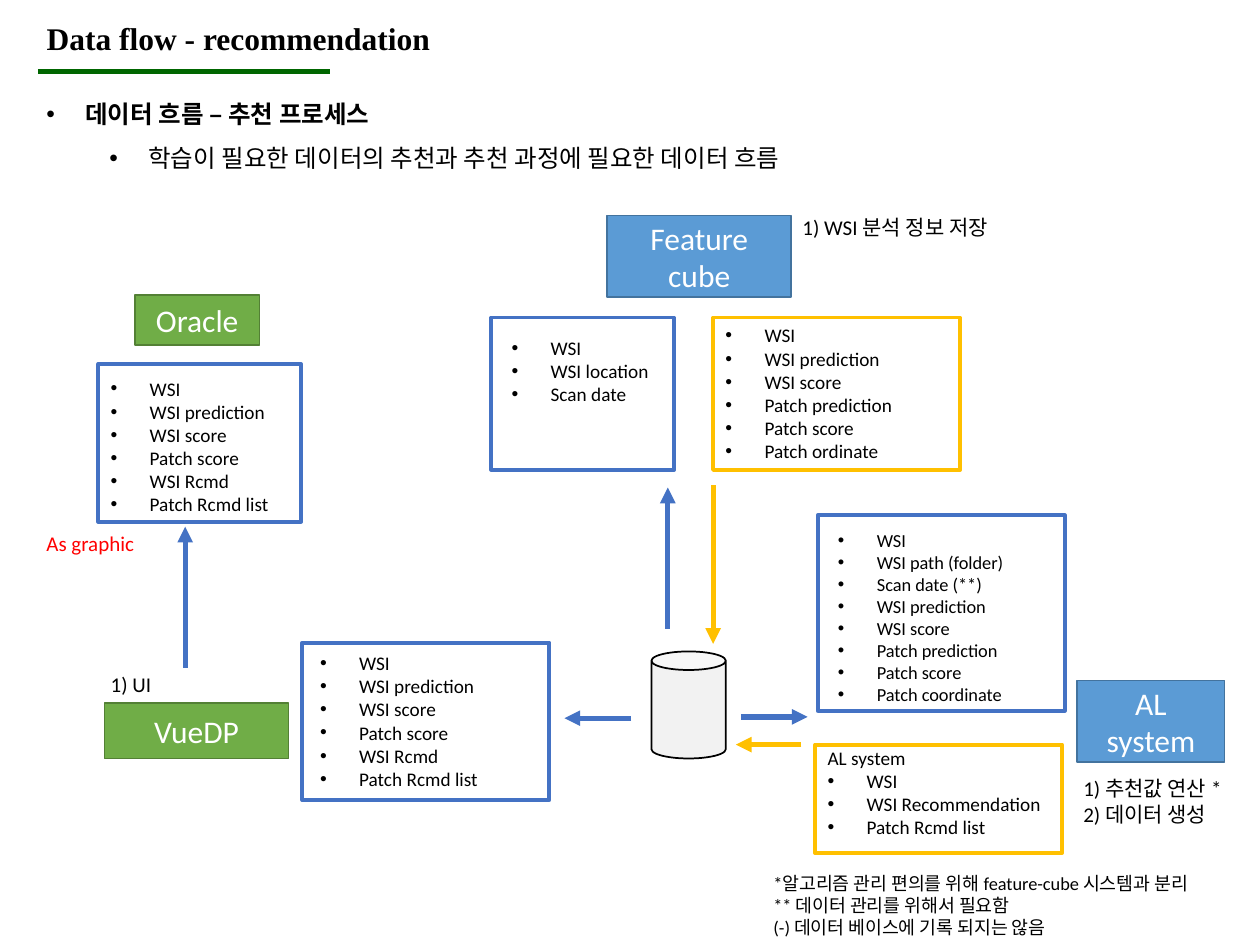
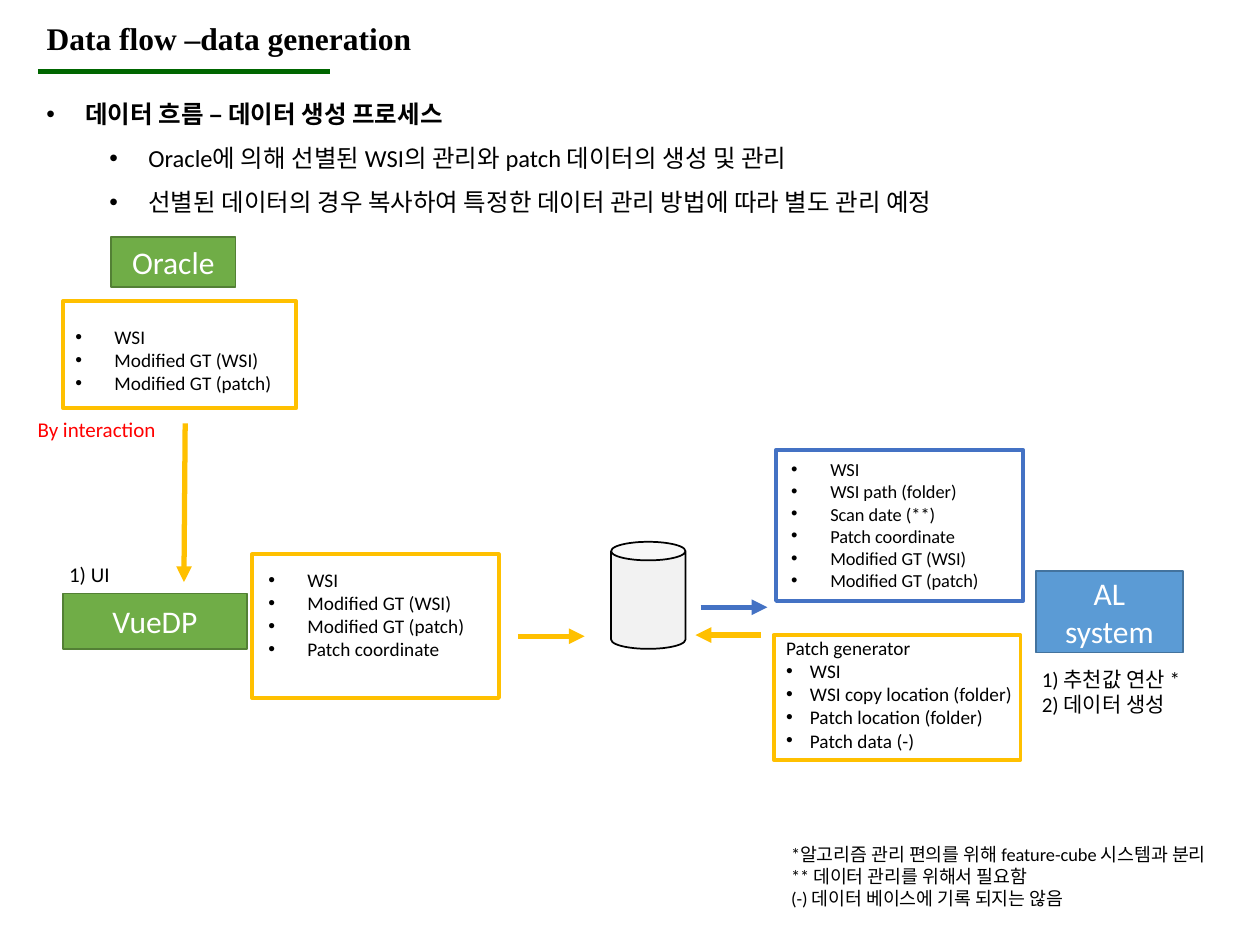
import pptx
import pptx.util
import pptx.dml.color
import pptx.enum.shapes
import pptx.enum.text
import pptx.oxml.ns
import lxml.etree

COLS, ROWS = 100, 75
INK, WHITE, RED, PINE = "000000", "FFFFFF", "FF0000", "006600"
BLUE, GOLD, GREY = "4472C4", "FFC000", "F2F2F2"
SKY, LEAF = ("5B9BD5", "43739E"), ("70AD47", "538035")
FONT, SERIF = "Calibri", "Times New Roman"
HANG = 3.1
NOTES = ["*알고리즘 관리 편의를 위해 feature-cube 시스템과 분리",
         "** 데이터 관리를 위해서 필요함",
         "(-) 데이터 베이스에 기록 되지는 않음"]
SCORES = ["WSI", "WSI prediction", "WSI score"]
RCMD = SCORES + ["Patch score", "WSI Rcmd", "Patch Rcmd list"]
PATCH = SCORES + ["Patch prediction", "Patch score"]
SCAN = ["WSI", "WSI path (folder)", "Scan date (**)"]
EDITS = ["Modified GT (WSI)", "Modified GT (patch)"]

KIND = pptx.enum.shapes.MSO_SHAPE
ALIGN = pptx.enum.text.PP_ALIGN
ANCHOR = pptx.enum.text.MSO_ANCHOR

deck = pptx.Presentation()
deck.slide_width = pptx.util.Inches(10)
deck.slide_height = pptx.util.Inches(7.5)


def across(cols):
    return round(deck.slide_width * cols / COLS)


def down(rows):
    return round(deck.slide_height * rows / ROWS)


def place(box):
    x, y, w, h = box
    return across(x), down(y), across(w), down(h)


def tint(code):
    return pptx.dml.color.RGBColor.from_string(code)


def add_xml(node, tag, **attrs):
    return lxml.etree.SubElement(node, pptx.oxml.ns.qn(tag), attrs)


def dot(para, left, hang):
    props = para._p.get_or_add_pPr()
    props.set("marL", str(across(left)))
    props.set("indent", str(-across(hang)))
    add_xml(props, "a:buFont", typeface="Arial")
    add_xml(props, "a:buChar", char="•")


def write(shape, lines, size, hue=INK, dents=(), hang=HANG, gap=None,
          align=ALIGN.LEFT, face=FONT):
    frame = shape.text_frame
    frame.word_wrap = True
    for i, line in enumerate(lines):
        para = frame.paragraphs[0] if i == 0 else frame.add_paragraph()
        para.text = line
        para.alignment = align
        if gap:
            para.line_spacing = gap
        if dents and dents[i]:
            dot(para, dents[i], hang)
        para.font.size = pptx.util.Pt(size)
        para.font.name = face
        para.font.color.rgb = tint(hue)
    return frame


def label(slide, box, lines, size=12, hue=INK, **style):
    return write(slide.shapes.add_textbox(*place(box)), lines, size, hue, **style)


def form(slide, kind, box, fill, edge, width=1):
    shape = slide.shapes.add_shape(kind, *place(box))
    shape.shadow.inherit = False
    if fill:
        shape.fill.solid()
        shape.fill.fore_color.rgb = tint(fill)
    else:
        shape.fill.background()
    shape.line.color.rgb = tint(edge)
    shape.line.width = pptx.util.Pt(width)
    return shape


def rule(slide, start, end, hue, head=True):
    (x1, y1), (x2, y2) = start, end
    line = slide.shapes.add_connector(
        pptx.enum.shapes.MSO_CONNECTOR.STRAIGHT,
        across(x1), down(y1), across(x2), down(y2))
    line.line.color.rgb = tint(hue)
    line.line.width = pptx.util.Pt(3)
    if head:
        add_xml(line.line._get_or_add_ln(), "a:tailEnd", type="triangle")
    add_xml(line._element.spPr, "a:effectLst")


def node(slide, box, text, pair):
    shape = form(slide, KIND.RECTANGLE, box, *pair)
    frame = write(shape, [text], 18, WHITE, align=ALIGN.CENTER)
    frame.vertical_anchor = ANCHOR.MIDDLE


def panel(slide, box, hue, items, pad, size=11, head=None, hang=HANG):
    shape = form(slide, KIND.RECTANGLE, box, None, hue, 2.25)
    lines = [head] + items if head else items
    dents = [0] * bool(head) + [hang] * len(items)
    frame = write(shape, lines, size, dents=dents, hang=hang)
    frame.vertical_anchor = ANCHOR.TOP
    frame.margin_left, frame.margin_top = across(pad[0]), down(pad[1])
    frame.margin_right = frame.margin_bottom = 0


def start(title, lines):
    slide = deck.slides.add_slide(deck.slide_layouts[5])
    head = slide.shapes.title
    head.left, head.top, head.width, head.height = place((2.7, 1, 51.8, 4))
    frame = write(head, [title], 18, face=SERIF)
    frame.auto_size = pptx.enum.text.MSO_AUTO_SIZE.NONE
    frame.vertical_anchor = ANCHOR.TOP
    frame.paragraphs[0].font.bold = True
    rule(slide, (3, 5.7), (26.2, 5.7), PINE, head=False)
    dents = [HANG] + [HANG + 5] * (len(lines) - 1)
    body = label(slide, (2.7, 6.2, 97.3, 11.6), lines, 14, dents=dents, gap=1.5)
    body.paragraphs[0].font.bold = True
    return slide


def store(slide, x, y):
    form(slide, KIND.CAN, (x, y, 5.9, 8.5), GREY, INK)
    rule(slide, (x + 7.1, y + 5.2), (x + 12.4, y + 5.2), BLUE)
    rule(slide, (x + 11.9, y + 7.4), (x + 6.7, y + 7.4), GOLD)


def learner(slide, x, y):
    node(slide, (x, y, 11.7, 6.5), "AL system", SKY)
    label(slide, (x - 0.5, y + 7.1, 15, 5), ["1) 추천값 연산 *", "2) 데이터 생성"])


def viewer(slide, x, y):
    node(slide, (x, y, 14.6, 4.4), "VueDP", LEAF)
    label(slide, (x - 0.5, y - 3, 9.2, 3), ["1) UI"])


def oracle(slide, x, y):
    node(slide, (x, y, 9.9, 4), "Oracle", LEAF)


def notes(slide, x, y):
    label(slide, (x, y, COLS - x, 6.3), NOTES, 10.5)


def cube(slide, x, y):
    node(slide, (x + 9.2, y, 14.6, 6.5), "Feature cube", SKY)
    label(slide, (x + 23.7, y - 0.6, 22.8, 3), ["1) WSI 분석 정보 저장"])
    panel(slide, (x, y + 8.1, 14.5, 12.1), BLUE,
          ["WSI", "WSI location", "Scan date"], (1.6, 1.5))
    panel(slide, (x + 17.6, y + 8.1, 19.6, 12.1), GOLD,
          PATCH + ["Patch ordinate"], (1, 0.5))
    rule(slide, (x + 14, y + 32.8), (x + 14, y + 21.6), BLUE)
    rule(slide, (x + 17.6, y + 21.4), (x + 17.6, y + 34), GOLD)


def advise():
    slide = start("Data flow - recommendation",
                  ["데이터 흐름 – 추천 프로세스",
                   "학습이 필요한 데이터의 추천과 추천 과정에 필요한 데이터 흐름"])
    cube(slide, 39, 17.1)
    store(slide, 51.7, 51.7)
    learner(slide, 85.5, 54)
    viewer(slide, 8.3, 55.8)
    oracle(slide, 10.7, 23.4)
    panel(slide, (7.8, 28.9, 16.1, 12.5), BLUE, RCMD, (1, 1))
    panel(slide, (24, 51, 19.6, 12.5), BLUE, RCMD, (1.4, 0.7))
    panel(slide, (64.9, 40.9, 19.6, 15.5), BLUE,
          SCAN + PATCH[1:] + ["Patch coordinate"], (1.6, 1.1), 10.5)
    panel(slide, (64.7, 59.1, 19.6, 8.6), GOLD,
          ["WSI", "WSI Recommendation", "Patch Rcmd list"], (1, 0.1),
          head="AL system")
    rule(slide, (50.1, 57), (44.8, 57), BLUE)
    rule(slide, (14.7, 53), (14.7, 41.8), BLUE)
    label(slide, (2.7, 41.6, 9.2, 3), ["As graphic"], hue=RED)
    notes(slide, 60.4, 68.7)


def create():
    slide = start("Data flow –data generation",
                  ["데이터 흐름 – 데이터 생성 프로세스",
                   "Oracle에 의해 선별된 WSI의 관리와 patch 데이터의 생성 및 관리",
                   "선별된 데이터의 경우 복사하여 특정한 데이터 관리 방법에 따라 별도 관리 예정"])
    store(slide, 48.5, 43)
    learner(slide, 82.2, 45.3)
    viewer(slide, 5, 47.1)
    oracle(slide, 8.8, 18.8)
    panel(slide, (5, 23.9, 18.5, 8.5), GOLD, ["WSI"] + EDITS, (1, 1.9))
    panel(slide, (20, 44, 19.6, 11.4), GOLD,
          ["WSI"] + EDITS + ["Patch coordinate"], (1.3, 1.1))
    panel(slide, (61.6, 35.7, 19.6, 12), BLUE,
          SCAN + ["Patch coordinate"] + EDITS, (1.2, 0.7), 10.5)
    panel(slide, (61.4, 50.4, 19.6, 9.9), GOLD,
          ["WSI", "WSI copy location (folder)", "Patch location (folder)",
           "Patch data (-)"], (1, 0.1), head="Patch generator", hang=1.9)
    rule(slide, (41.1, 50.5), (46.4, 50.5), GOLD)
    rule(slide, (14.7, 33.6), (14.6, 46.2), GOLD)
    label(slide, (2, 32.6, 13, 3), ["By interaction"], hue=RED)
    notes(slide, 61.8, 66.4)


def main():
    advise()
    create()
    deck.save("out.pptx")


if __name__ == "__main__":
    main()
